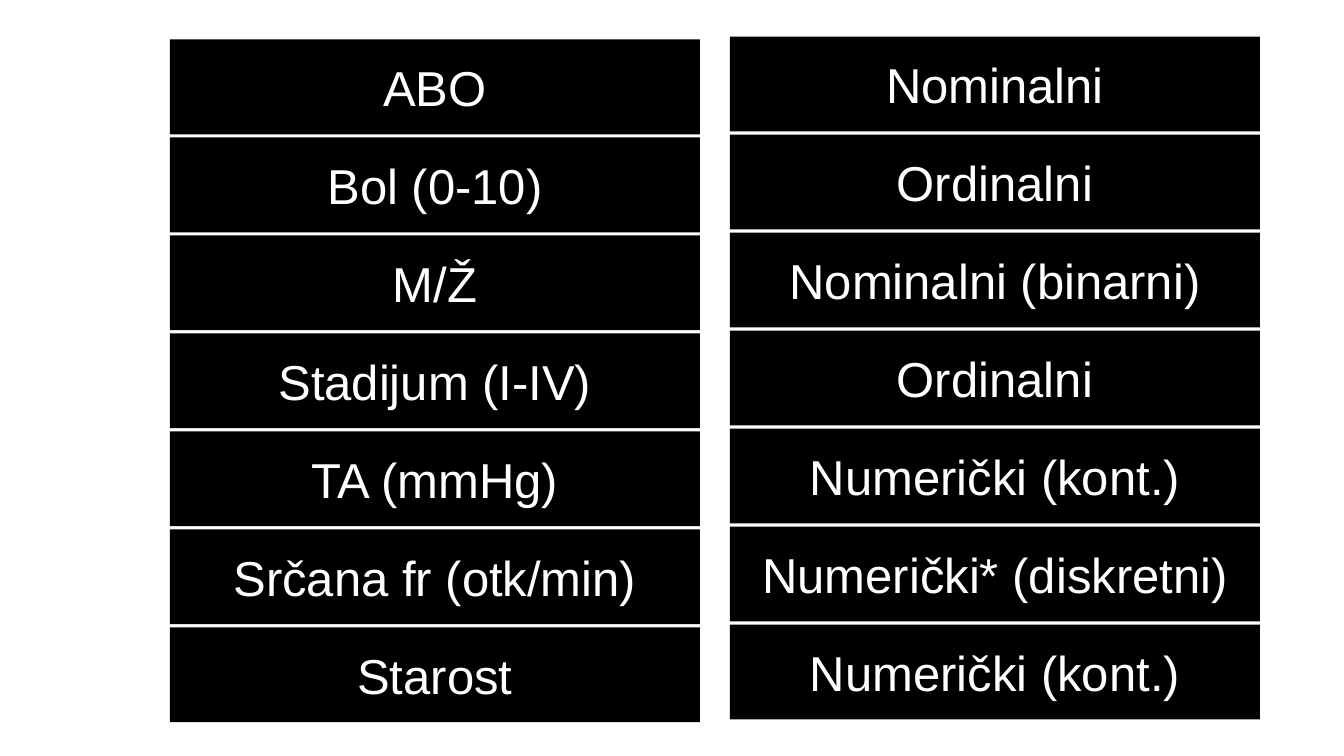
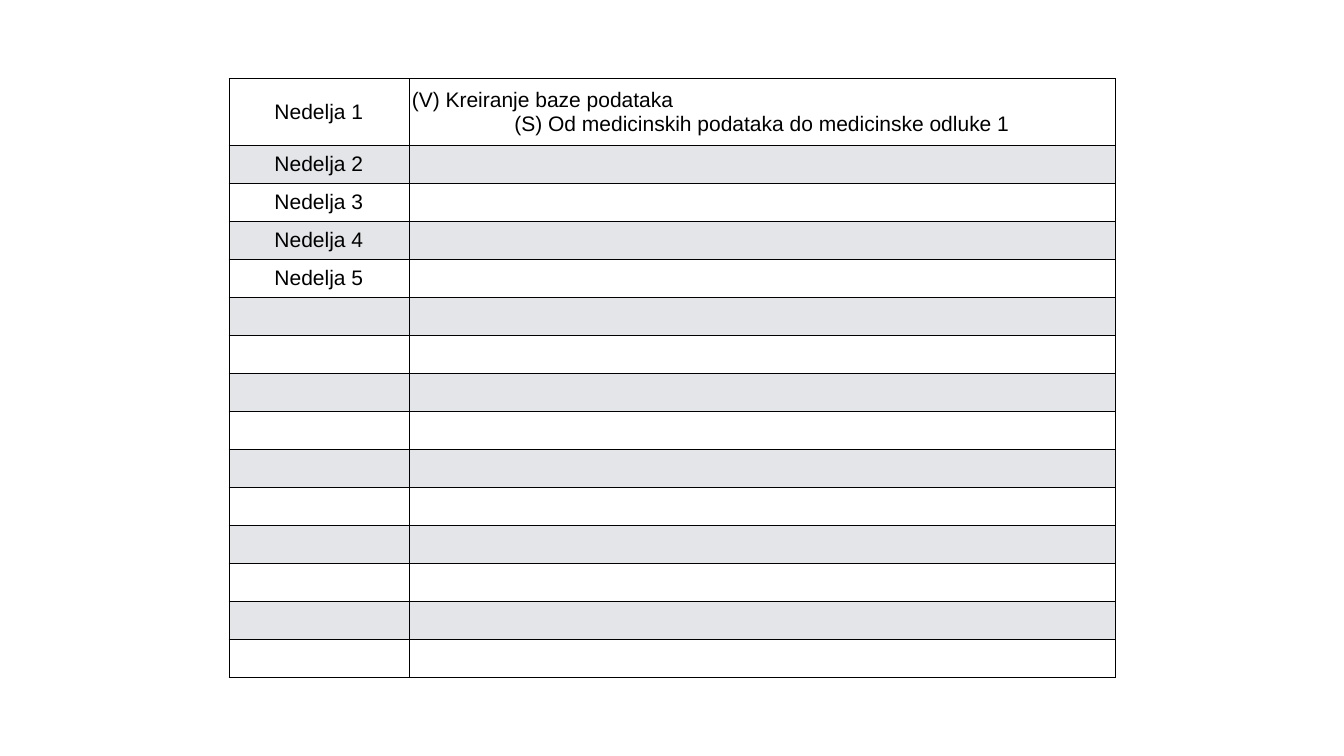
from lxml import etree
from pptx import Presentation
from pptx.dml.color import RGBColor
from pptx.enum.shapes import MSO_SHAPE
from pptx.enum.text import MSO_ANCHOR, PP_ALIGN
from pptx.oxml.ns import qn
from pptx.util import Pt

RECTANGLE = MSO_SHAPE.RECTANGLE
MIDDLE = MSO_ANCHOR.MIDDLE
CENTER = PP_ALIGN.CENTER
LEFT = PP_ALIGN.LEFT

FONT = "Arial"
BLACK = "000000"
WHITE = "FFFFFF"
BAND = "E3E5E8"

BOX_WIDTH, BOX_HEIGHT, BOX_PITCH = 757.4, 135.4, 140
VARIABLES = ["ABO", "Bol (0-10)", "M/Ž", "Stadijum (I-IV)", "TA (mmHg)",
             "Srčana fr (otk/min)", "Starost"]
DATA_TYPES = ["Nominalni", "Ordinalni", "Nominalni (binarni)", "Ordinalni",
              "Numerički (kont.)", "Numerički* (diskretni)", "Numerički (kont.)"]

WEEK_ROWS = 15
NAMED_WEEKS = 5
FIRST_WEEK_TOPICS = [("(V) Kreiranje baze podataka", LEFT),
                     ("(S) Od medicinskih podataka do medicinske odluke 1", CENTER)]


def color(value):
    return RGBColor.from_string(value)


class Deck:
    def __init__(self):
        self.presentation = Presentation()
        self.presentation.slide_width = Pt(1920)
        self.presentation.slide_height = Pt(1080)
        self.slide = None

    def add_slide(self):
        self.slide = self.presentation.slides.add_slide(self.presentation.slide_layouts[6])
        self.slide.background.fill.solid()
        self.slide.background.fill.fore_color.rgb = color(WHITE)

    def add_text(self, frame, lines, size, text_color):
        for index, (text, alignment) in enumerate(lines):
            paragraph = frame.add_paragraph() if index else frame.paragraphs[0]
            paragraph.alignment = alignment
            run = paragraph.add_run()
            run.text = text
            run.font.name = FONT
            run.font.size = Pt(size)
            run.font.color.rgb = color(text_color)

    def box(self, shapes, left, top, text):
        shape = shapes.add_shape(RECTANGLE, Pt(left), Pt(top), Pt(BOX_WIDTH), Pt(BOX_HEIGHT))
        shape.shadow.inherit = False
        shape.fill.solid()
        shape.fill.fore_color.rgb = color(BLACK)
        shape.line.fill.background()
        frame = shape.text_frame
        frame.word_wrap = True
        frame.vertical_anchor = MIDDLE
        frame.margin_left = frame.margin_right = Pt(6)
        frame.margin_top = frame.margin_bottom = Pt(6)
        self.add_text(frame, [(text, CENTER)], 70, WHITE)

    def column(self, shapes, left, top, labels):
        for index, label in enumerate(labels):
            self.box(shapes, left, top + index * BOX_PITCH, label)

    def borders(self, cell):
        properties = cell._tc.get_or_add_tcPr()
        for side in ("a:lnL", "a:lnR", "a:lnT", "a:lnB"):
            line = etree.SubElement(properties, qn(side), w=str(Pt(1)))
            fill = etree.SubElement(line, qn("a:solidFill"))
            etree.SubElement(fill, qn("a:srgbClr"), val=BLACK)

    def cell(self, cell, lines, fill):
        self.borders(cell)
        cell.fill.solid()
        cell.fill.fore_color.rgb = color(fill)
        cell.vertical_anchor = MIDDLE
        cell.margin_left = cell.margin_right = Pt(4.3)
        cell.margin_top = cell.margin_bottom = Pt(4.3)
        self.add_text(cell.text_frame, lines, 30, BLACK)

    def table(self, left, top, widths, heights, contents):
        frame = self.slide.shapes.add_table(
            len(heights), len(widths), Pt(left), Pt(top), Pt(sum(widths)), Pt(sum(heights)))
        table = frame.table
        table.first_row = False
        table.horz_banding = False
        for column, width in zip(table.columns, widths):
            column.width = Pt(width)
        for index, (row, height) in enumerate(zip(table.rows, heights)):
            row.height = Pt(height)
            for cell, lines in zip(row.cells, contents[index]):
                self.cell(cell, lines, BAND if index % 2 else WHITE)


def build_variable_types(deck):
    deck.add_slide()
    variables = deck.slide.shapes.add_group_shape()
    deck.column(variables.shapes, 242.6, 56.4, VARIABLES)
    deck.column(deck.slide.shapes, 1042.6, 52.4, DATA_TYPES)


def build_schedule(deck):
    deck.add_slide()
    weeks = [[[(f"Nedelja {number}", CENTER)] if number <= NAMED_WEEKS else [],
              FIRST_WEEK_TOPICS if number == 1 else []]
             for number in range(1, WEEK_ROWS + 1)]
    heights = [95.8] + [54.3] * (WEEK_ROWS - 1)
    deck.table(327, 112.3, [257, 1008.7], heights, weeks)


def main():
    deck = Deck()
    build_variable_types(deck)
    build_schedule(deck)
    deck.presentation.save("out.pptx")


if __name__ == "__main__":
    main()
